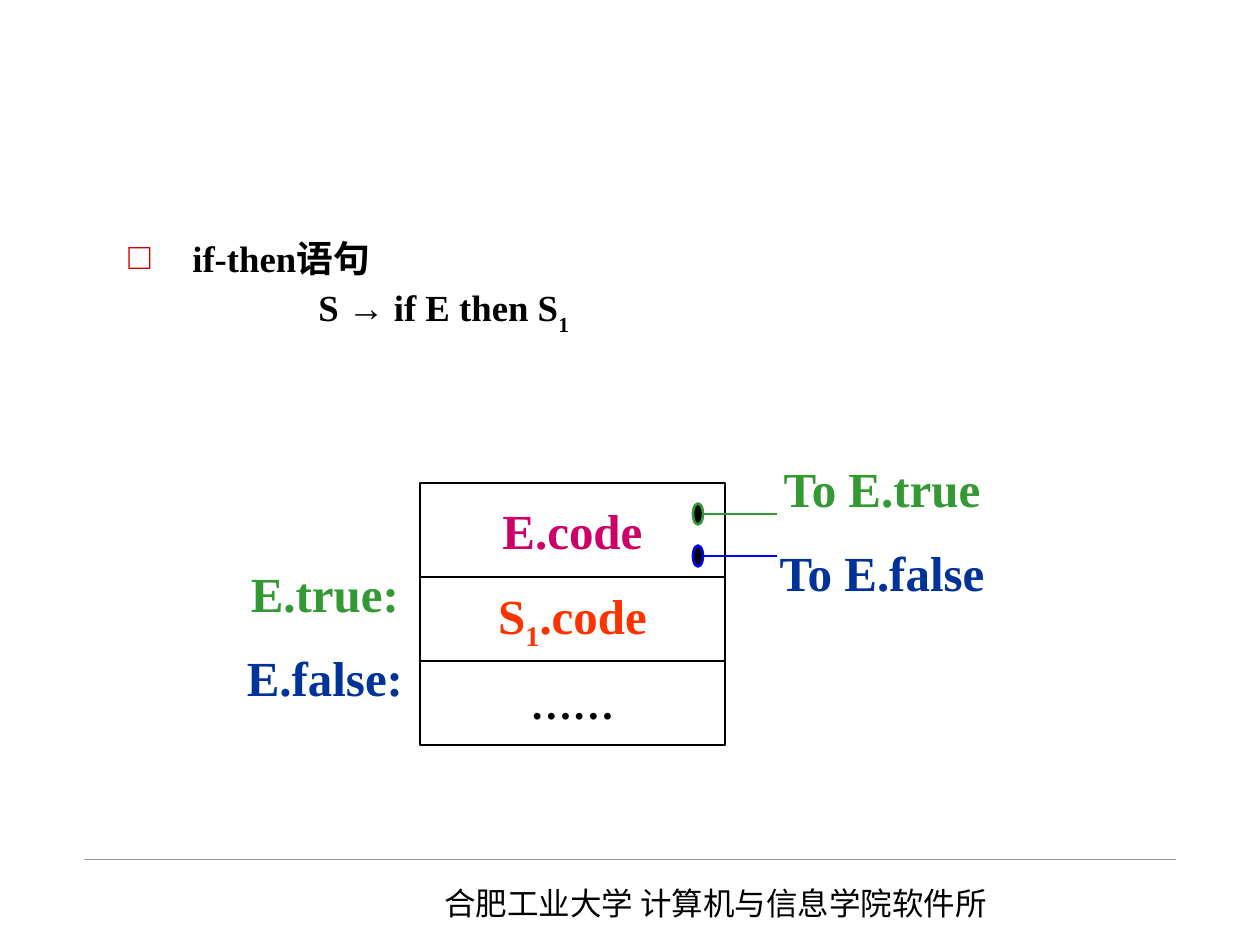
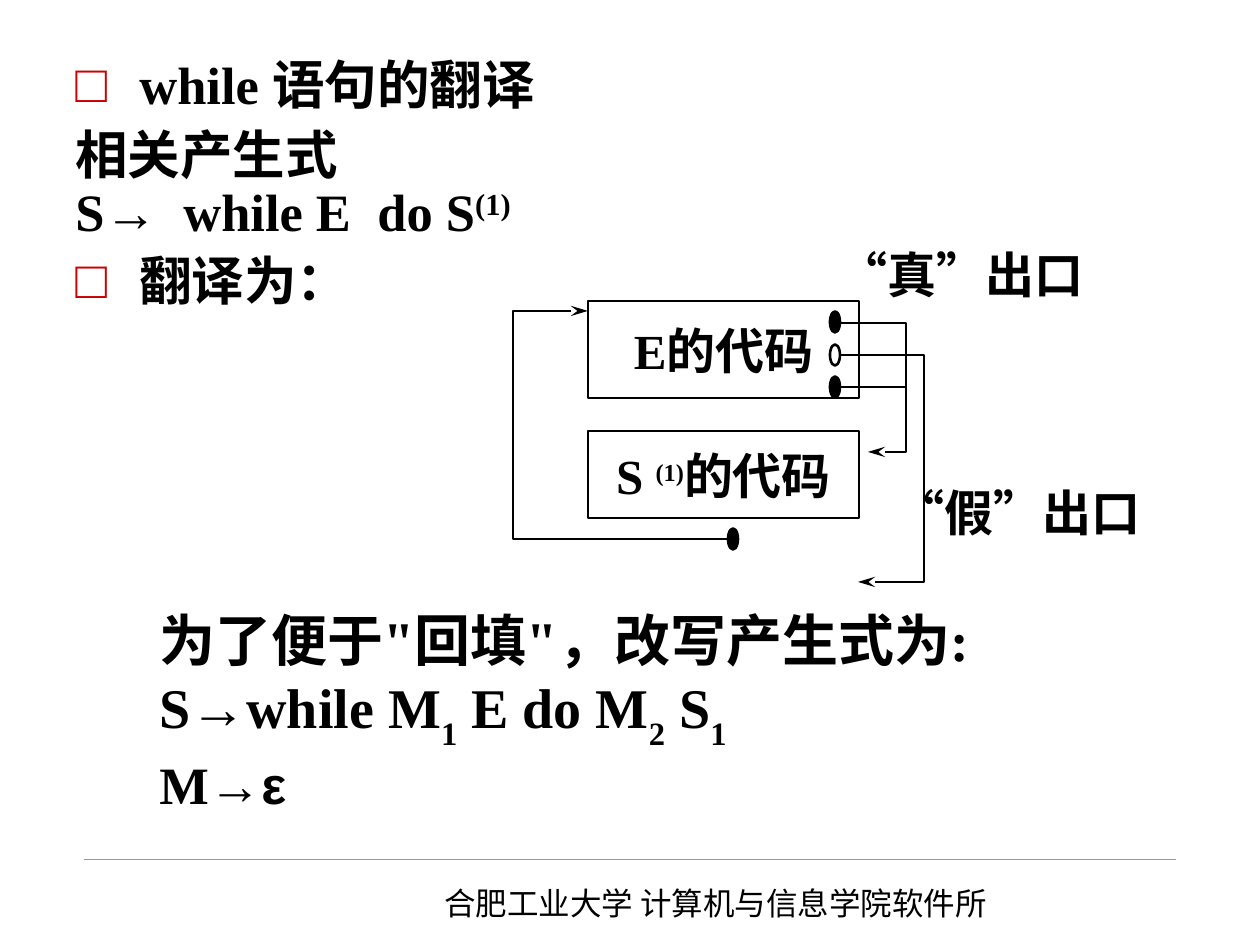
"""Two slides on translating if-then and while statements."""
import pptx
import pptx.util
import pptx.dml.color
import pptx.enum.shapes
import pptx.enum.text
import pptx.oxml.ns
import lxml.etree

SCALE = pptx.util.Inches(1) / 126
SLIDE_SIZE = (1260, 945)
SHAPE = pptx.enum.shapes.MSO_SHAPE
ALIGN = pptx.enum.text.PP_ALIGN
ANCHOR = pptx.enum.text.MSO_ANCHOR

THEME = {
    "latin": "Times New Roman", "cjk": "Noto Sans CJK SC", "sans": "Arial",
    "ink": "000000", "rule": "999999", "bullet": "CC0000",
    "true": "339933", "false": "003399", "false_port": "0000FF",
    "condition": "CC0066", "statement": "FF3300",
    "footer": 18, "rule_text": 21, "dots": 24, "label": 28, "body": 30, "rewrite": 32,
    "line": 1.5, "hairline": 0.25,
}
SUB, SUP = {"base": -30}, {"base": 30}
WIDE_SPACE = (" ", {"spacing": 7.5})
BULLET_INDENT = 64

FOOTER = "合肥工业大学 计算机与信息学院软件所"
FOOTER_BOX = (432, 878, 635, 50)
FOOTER_RULE = [(84, 859), (1176, 859)]

IF_RULE_BOX = (116, 242, 1081, 95)
IF_RULE = [
    {"runs": ["if-then语句"], "bullet": True},
    {"runs": ["S → if E then S", ("1", SUB)], "indent": 190, "space_before": 7.5},
]
CODE_LEFT, CODE_TOP, CODE_WIDTH = 420, 483, 305
CODE_STACK = [
    (94, ["E.code"], "condition", "label"),
    (84, ["S", ("1", {"base": -25}), ".code"], "statement", "label"),
    (84, ["……"], "ink", "dots"),
]
LABEL_SIZE = (280, 74)
IF_LABELS = [
    ("To E.true", (882, 488), "true"), ("To E.false", (882, 572), "false"),
    ("E.true:", (325, 593), "true"), ("E.false:", (325, 677), "false"),
]
IF_PORTS = [(514, "true"), (556, "false_port")]
IF_PORT_X, IF_PORT_END = 698, 777

WHILE_RULE_BOX = (63, 53, 1029, 305)
WHILE_RULE = [
    {"runs": ["while 语句的翻译"], "bullet": True, "alignment": ALIGN.JUSTIFY},
    {"runs": ["相关产生式"], "alignment": ALIGN.JUSTIFY, "space_before": 7.5},
    {"runs": ["S→", WIDE_SPACE, "while E", WIDE_SPACE, "do S", ("(1)", SUP)]},
    {"runs": ["翻译为："], "bullet": True, "space_before": 7.5},
]
WHILE_BOXES = [
    ((588, 301, 271, 97), ["E的代码"]),
    ((588, 431, 271, 87), ["S ", ("(1)", {"base": 30, "size": "dots"}), "的代码"]),
]
WHILE_LABELS = [("“真”出口", (961, 274), "ink"), ("“假”出口", (1018, 512), "ink")]
JUMPS = [
    [(840, 355), (924, 355), (924, 582), (858, 582)],
    [(840, 323), (906, 323), (906, 452), (868, 452)],
    [(728, 539), (513, 539), (513, 311), (588, 311)],
]
MERGE = [(840, 387), (906, 387)]
WHILE_PORTS = [(835, 322, "ink"), (835, 355, None), (835, 387, "ink"), (733, 539, "ink")]
REWRITE_BOX = (147, 599, 935, 284)
REWRITE = [
    {"runs": ['为了便于"回填"，改写产生式为:'], "alignment": ALIGN.JUSTIFY},
    {"runs": ["S→while M", ("1", SUB), " E do M", ("2", SUB), " S", ("1", SUB)]},
    {"runs": [("M→", {"size": "body"}), ("ε", {"size": "body", "font": "sans"})]},
]


def px(*values):
    return [round(v * SCALE) for v in values]


def color(name):
    return pptx.dml.color.RGBColor.from_string(THEME[name])


def apply(target, values):
    for name, value in values.items():
        setattr(target, name, value)


def add_xml(parent, tag, **attributes):
    return lxml.etree.SubElement(parent, pptx.oxml.ns.qn(tag), attributes)


def style_line(line, name="ink", width="line"):
    line.color.rgb = color(name)
    line.width = pptx.util.Pt(THEME[width])


def add_run(p, text, size, ink="ink", font="latin", bold=True, base=None, spacing=None):
    r = p.add_run()
    r.text = text
    apply(r.font, {"size": pptx.util.Pt(THEME[size]), "bold": bold, "name": THEME[font]})
    r.font.color.rgb = color(ink)
    r_pr = r.font._element
    add_xml(r_pr, "a:ea", typeface=THEME["cjk"])
    if base:
        r_pr.set("baseline", str(base * 1000))
    if spacing:
        r_pr.set("spc", str(round(spacing * 100)))


def set_indent(p, bullet, indent):
    p_pr = p._p.get_or_add_pPr()
    left = px(BULLET_INDENT if bullet else indent)[0]
    p_pr.set("marL", str(left))
    p_pr.set("indent", str(-left if bullet else 0))
    if bullet:
        add_xml(add_xml(p_pr, "a:buClr"), "a:srgbClr", val=THEME["bullet"])
        add_xml(p_pr, "a:buFont", typeface=THEME["sans"])
        add_xml(p_pr, "a:buChar", char="□")


def write(sp, paragraphs, size, line_spacing=None, **style):
    tf = sp.text_frame
    for i, item in enumerate(paragraphs):
        p = tf.paragraphs[0] if i == 0 else tf.add_paragraph()
        set_indent(p, item.get("bullet"), item.get("indent", 0))
        apply(p, {"alignment": item.get("alignment", ALIGN.LEFT),
                  "line_spacing": line_spacing,
                  "space_before": pptx.util.Pt(item.get("space_before", 0))})
        for run in item["runs"]:
            text, changes = (run, {}) if isinstance(run, str) else run
            add_run(p, text, **{"size": size, **style, **changes})


def add_text(s, box, paragraphs, size, **style):
    sp = s.shapes.add_textbox(*px(*box))
    sp.text_frame.word_wrap = True
    write(sp, paragraphs, size, **style)


def write_centered(sp, runs, size="label", ink="ink"):
    apply(sp.text_frame, {"word_wrap": False, "vertical_anchor": ANCHOR.MIDDLE})
    write(sp, [{"runs": runs, "alignment": ALIGN.CENTER}], size, ink=ink)


def add_labels(s, labels):
    width, height = LABEL_SIZE
    for text, (x, y), ink in labels:
        sp = s.shapes.add_textbox(*px(x - width / 2, y - height / 2, width, height))
        write_centered(sp, [text], ink=ink)


def add_outlined(s, kind, box, line="ink", fill=None):
    sp = s.shapes.add_shape(kind, *px(*box))
    sp.shadow.inherit = False
    style_line(sp.line, line)
    if fill:
        sp.fill.solid()
        sp.fill.fore_color.rgb = color(fill)
    else:
        sp.fill.background()
    return sp


def add_port(s, x, y, line="ink", fill="ink"):
    add_outlined(s, SHAPE.OVAL, (x - 5, y - 10.5, 10, 21), line, fill)


def add_line(s, points, ink="ink", width="line"):
    start, end = points
    line = s.shapes.add_connector(pptx.enum.shapes.MSO_CONNECTOR.STRAIGHT, *px(*start, *end))
    style_line(line.line, ink, width)
    add_xml(line._element.spPr, "a:effectLst")


def add_jump(s, points):
    builder = s.shapes.build_freeform(*points[0], scale=SCALE)
    builder.add_line_segments(points[1:], close=False)
    sp = builder.convert_to_shape()
    sp.shadow.inherit = False
    sp.fill.background()
    style_line(sp.line)
    add_xml(sp.line._get_or_add_ln(), "a:tailEnd", type="stealth", len="lg")


def new_slide(prs):
    s = prs.slides.add_slide(prs.slide_layouts[6])
    add_line(s, FOOTER_RULE, "rule", "hairline")
    add_text(s, FOOTER_BOX, [{"runs": [FOOTER]}], "footer", font="cjk", bold=False)
    return s


def build_if_slide(prs):
    s = new_slide(prs)
    add_text(s, IF_RULE_BOX, IF_RULE, "rule_text", line_spacing=0.7)
    top = CODE_TOP
    for height, runs, ink, size in CODE_STACK:
        sp = add_outlined(s, SHAPE.RECTANGLE, (CODE_LEFT, top, CODE_WIDTH, height))
        write_centered(sp, runs, size, ink)
        top += height
    for y, ink in IF_PORTS:
        add_line(s, [(IF_PORT_X + 5, y), (IF_PORT_END, y)], ink)
        add_port(s, IF_PORT_X, y, ink)
    add_labels(s, IF_LABELS)


def build_while_slide(prs):
    s = new_slide(prs)
    add_text(s, WHILE_RULE_BOX, WHILE_RULE, "body", line_spacing=0.9)
    for box, runs in WHILE_BOXES:
        write_centered(add_outlined(s, SHAPE.RECTANGLE, box), runs)
    for points in JUMPS:
        add_jump(s, points)
    add_line(s, MERGE)
    for x, y, fill in WHILE_PORTS:
        add_port(s, x, y, fill=fill)
    add_labels(s, WHILE_LABELS)
    add_text(s, REWRITE_BOX, REWRITE, "rewrite")


def main():
    prs = pptx.Presentation()
    prs.slide_width, prs.slide_height = px(*SLIDE_SIZE)
    build_if_slide(prs)
    build_while_slide(prs)
    prs.save("out.pptx")


if __name__ == "__main__":
    main()
